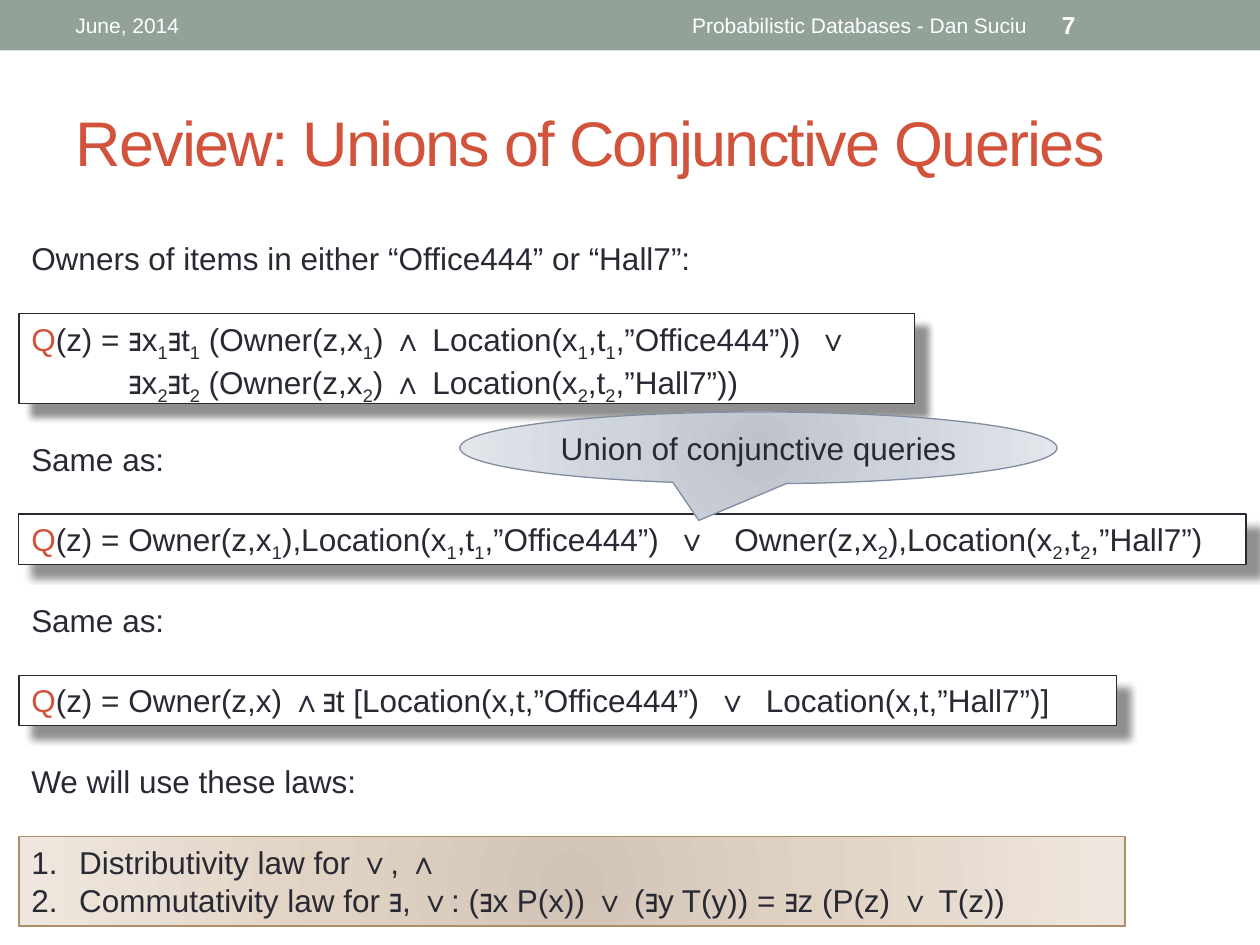
from dataclasses import dataclass

from lxml.etree import SubElement
from pptx import Presentation
from pptx.dml.color import RGBColor
from pptx.enum.shapes import MSO_SHAPE
from pptx.enum.text import MSO_ANCHOR, PP_ALIGN
from pptx.oxml import parse_xml
from pptx.oxml.ns import nsdecls, qn
from pptx.util import Inches, Pt

WHITE = RGBColor(0xFF, 0xFF, 0xFF)
INK = RGBColor(0x29, 0x29, 0x34)
RED = RGBColor(0xD2, 0x53, 0x3C)
SAGE = RGBColor(0x93, 0xA2, 0x99)
SLATE = RGBColor(0x80, 0x8D, 0xA0)
TAN = RGBColor(0xAD, 0x8F, 0x67)
BLUE_STOPS = (RGBColor(0xBE, 0xC3, 0xCB), RGBColor(0xCD, 0xD2, 0xDB), RGBColor(0xE3, 0xE6, 0xEB))
TAN_STOPS = (RGBColor(0xD1, 0xC4, 0xB6), RGBColor(0xE1, 0xD3, 0xC4), RGBColor(0xEF, 0xE7, 0xDF))
LEFT = 0.15


@dataclass(frozen=True)
class Label:
    text: str
    top: float
    width: float


@dataclass(frozen=True)
class Formula:
    lines: tuple[str, ...]
    top: float
    width: float
    height: float
    tabs: tuple[float, ...] = ()


LABELS = (
    Label("Owners of items in either “Office444” or “Hall7”:", 1.85, 5.49),
    Label("Same as:", 3.44, 1.27),
    Label("Same as:", 4.72, 1.27),
    Label("We will use these laws:", 6, 2.81),
)
FORMULAS = (
    Formula(
        ("Q(z) = ∃x_1∃t_1 (Owner(z,x_1) ∧ Location(x_1,t_1,”Office444”))\t∨",
         "∃x_2∃t_2 (Owner(z,x_2) ∧ Location(x_2,t_2,”Hall7”))"),
        2.49, 7.11, 0.71, (6.24,)),
    Formula(
        ("Q(z) = Owner(z,x_1),Location(x_1,t_1,”Office444”)\t∨\tOwner(z,x_2),Location(x_2,t_2,”Hall7”)",),
        4.08, 9.74, 0.4, (5.12, 5.58)),
    Formula(
        ("Q(z) = Owner(z,x) ∧∃t [Location(x,t,”Office444”)\t∨\tLocation(x,t,”Hall7”)]",),
        5.36, 8.71, 0.4, (5.44, 5.83)),
)
LAWS = (
    "Distributivity law for ∨, ∧",
    "Commutativity law for ∃, ∨: (∃x P(x)) ∨ (∃y T(y)) = ∃z (P(z) ∨ T(z))",
)


def add_run(p, text: str, *, size: float, color: RGBColor, bold: bool = False,
            spacing: int = 0, subscript: bool = False) -> None:
    r = p.add_run()
    r.text = text
    r.font.name = "Arial"
    r.font.size = Pt(size)
    r.font.bold = bold
    r.font.color.rgb = color
    if spacing:
        r.font._element.set("spc", str(spacing))
    if subscript:
        r.font._element.set("baseline", "-25000")


def write(p, text: str, *, size: float = 18, color: RGBColor = INK, bold: bool = False,
          spacing: int = 0, align: PP_ALIGN = PP_ALIGN.LEFT) -> None:
    p.alignment = align
    style = dict(size=size, bold=bold, spacing=spacing)
    if text.startswith("Q("):
        add_run(p, "Q", color=RED, **style)
        text = text[1:]
    first, *rest = text.split("_")
    add_run(p, first, color=color, **style)
    for part in rest:
        add_run(p, part[0], color=color, subscript=True, **style)
        if part[1:]:
            add_run(p, part[1:], color=color, **style)


def add_text(s, text: str, left: float, top: float, width: float, height: float, *,
             anchor: MSO_ANCHOR = MSO_ANCHOR.TOP, **style) -> None:
    sp = s.shapes.add_textbox(Inches(left), Inches(top), Inches(width), Inches(height))
    tf = sp.text_frame
    tf.word_wrap = True
    tf.vertical_anchor = anchor
    write(tf.paragraphs[0], text, **style)


def add_box(s, kind: MSO_SHAPE, left: float, top: float, width: float, height: float, *,
            fill: RGBColor = WHITE, line: RGBColor | None = None):
    sp = s.shapes.add_shape(kind, Inches(left), Inches(top), Inches(width), Inches(height))
    sp.shadow.inherit = False
    sp.fill.solid()
    sp.fill.fore_color.rgb = fill
    if line is None:
        sp.line.fill.background()
    else:
        sp.line.color.rgb = line
        sp.line.width = Pt(0.75)
    tf = sp.text_frame
    tf.word_wrap = True
    tf.vertical_anchor = MSO_ANCHOR.TOP
    return sp


def set_radial_fill(sp, colors: tuple[RGBColor, ...]) -> None:
    stops = "".join(
        f'<a:gs pos="{pos * 1000}"><a:srgbClr val="{color}"/></a:gs>'
        for pos, color in zip((0, 45, 100), colors))
    grad = parse_xml(
        f'<a:gradFill {nsdecls("a")} rotWithShape="1"><a:gsLst>{stops}</a:gsLst>'
        '<a:path path="circle"><a:fillToRect l="100000" t="100000" r="100000" b="100000"/>'
        '</a:path></a:gradFill>')
    sp_pr = sp._element.spPr
    sp_pr.replace(sp_pr.find(qn("a:solidFill")), grad)


def set_shadow(sp) -> None:
    effects = sp._element.spPr.find(qn("a:effectLst"))
    effects.append(parse_xml(
        f'<a:outerShdw {nsdecls("a")} blurRad="{Pt(4)}" dist="{Pt(10)}" dir="2700000" '
        'algn="tl" rotWithShape="0"><a:srgbClr val="000000"><a:alpha val="43000"/>'
        '</a:srgbClr></a:outerShdw>'))


def set_tabs(p, positions: tuple[float, ...]) -> None:
    tabs = SubElement(p._p.get_or_add_pPr(), qn("a:tabLst"))
    for position in positions:
        SubElement(tabs, qn("a:tab"), pos=str(Inches(position)), algn="l")


def add_formula(s, formula: Formula) -> None:
    sp = add_box(s, MSO_SHAPE.RECTANGLE, LEFT, formula.top, formula.width, formula.height, line=INK)
    set_shadow(sp)
    tf = sp.text_frame
    for i, line in enumerate(formula.lines):
        p = tf.add_paragraph() if i else tf.paragraphs[0]
        if i:
            p._p.get_or_add_pPr().set("marL", str(Inches(0.77)))
        else:
            set_tabs(p, formula.tabs)
        write(p, line)


def add_callout(s) -> None:
    sp = add_box(s, MSO_SHAPE.OVAL_CALLOUT, 3.65, 3.27, 4.74, 0.57, line=SLATE)
    sp.adjustments[0] = -0.1
    sp.adjustments[1] = 1.01
    set_radial_fill(sp, BLUE_STOPS)
    tf = sp.text_frame
    tf.margin_left = tf.margin_right = 0
    tf.vertical_anchor = MSO_ANCHOR.MIDDLE
    write(tf.paragraphs[0], "Union of conjunctive queries", align=PP_ALIGN.CENTER)


def add_laws(s) -> None:
    sp = add_box(s, MSO_SHAPE.RECTANGLE, LEFT, 6.64, 8.78, 0.71, line=TAN)
    set_radial_fill(sp, TAN_STOPS)
    tf = sp.text_frame
    for i, law in enumerate(LAWS):
        p = tf.add_paragraph() if i else tf.paragraphs[0]
        p_pr = p._p.get_or_add_pPr()
        p_pr.set("marL", str(Inches(0.38)))
        p_pr.set("indent", str(Inches(-0.38)))
        SubElement(p_pr, qn("a:buFont"), typeface="+mj-lt")
        SubElement(p_pr, qn("a:buAutoNum"), type="arabicPeriod")
        write(p, law)


def main() -> None:
    prs = Presentation()
    prs.slide_width, prs.slide_height = Inches(10), Inches(7.5)
    s = prs.slides.add_slide(prs.slide_layouts[6])
    middle = MSO_ANCHOR.MIDDLE
    add_box(s, MSO_SHAPE.RECTANGLE, 0, 0, 10, 0.4, fill=SAGE)
    add_text(s, "Review: Unions of Conjunctive Queries", 0.5, 0.58, 9, 1.08,
             anchor=middle, size=36, color=RED, spacing=-100)
    add_text(s, "June, 2014", 0.5, 0.02, 3.17, 0.36, anchor=middle, size=12, color=WHITE)
    add_text(s, "Probabilistic Databases - Dan Suciu", 3.75, 0.02, 4.5, 0.36,
             anchor=middle, size=12, color=WHITE, align=PP_ALIGN.RIGHT)
    add_text(s, "7", 8.33, 0.02, 1.17, 0.36, anchor=middle, size=14, color=WHITE, bold=True)
    for formula in FORMULAS:
        add_formula(s, formula)
    for label in LABELS:
        add_text(s, label.text, LEFT, label.top, label.width, 0.4)
    add_callout(s)
    add_laws(s)
    prs.save("out.pptx")


if __name__ == "__main__":
    main()
